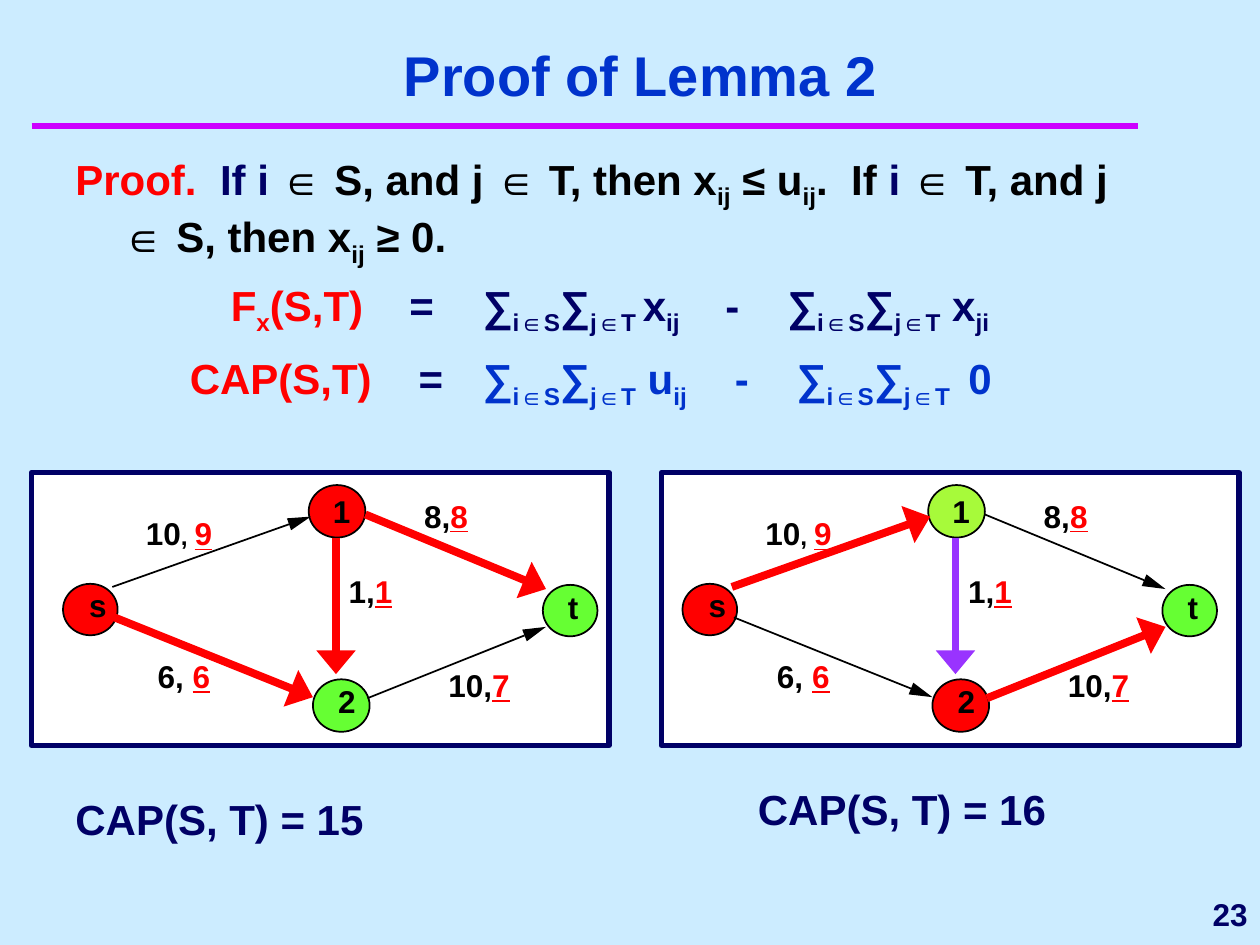
from math import hypot

from lxml.etree import SubElement
from pptx import Presentation
from pptx.dml.color import RGBColor
from pptx.enum.shapes import MSO_CONNECTOR, MSO_SHAPE
from pptx.enum.text import MSO_ANCHOR, PP_ALIGN
from pptx.oxml.ns import qn
from pptx.util import Inches, Pt

SKY = RGBColor(0xCC, 0xEC, 0xFF)
NAVY = RGBColor(0x00, 0x00, 0x66)
BLUE = RGBColor(0x00, 0x33, 0xCC)
RED = RGBColor(0xFF, 0x00, 0x00)
GREEN = RGBColor(0x66, 0xFF, 0x33)
LIME = RGBColor(0xA7, 0xFA, 0x3A)
VIOLET = RGBColor(0x99, 0x33, 0xFF)
MAGENTA = RGBColor(0xCC, 0x00, 0xFF)
BLACK = RGBColor(0x00, 0x00, 0x00)
WHITE = RGBColor(0xFF, 0xFF, 0xFF)

prs = Presentation()
prs.slide_width, prs.slide_height = Inches(10), Inches(7.5)
s = prs.slides.add_slide(prs.slide_layouts[6])
s.background.fill.solid()
s.background.fill.fore_color.rgb = SKY
CELL = prs.slide_width / 120  # the slide is a grid of 120 columns by 90 rows


def add_text(box, runs, size=24, align=PP_ALIGN.LEFT, anchor=MSO_ANCHOR.TOP,
             inset=(1.2, 0.6), wrap=True, hang=0, before=0, tabs=()):
    """Add runs of (text, colour[, size[, underline]]); _x_ is a subscript and | a line break."""
    tf = s.shapes.add_textbox(*(round(v * CELL) for v in box)).text_frame
    tf.word_wrap, tf.vertical_anchor = wrap, anchor
    tf.margin_left = tf.margin_right = round(inset[0] * CELL)
    tf.margin_top = tf.margin_bottom = round(inset[1] * CELL)
    p = tf.paragraphs[0]
    p.alignment, p.space_before = align, Pt(before)
    pPr = p._p.get_or_add_pPr()
    if hang:
        pPr.set("marL", str(round(hang * CELL)))
        pPr.set("indent", str(round(-hang * CELL)))
    if tabs:
        stops = SubElement(pPr, qn("a:tabLst"))
        for t in tabs:
            SubElement(stops, qn("a:tab"), pos=str(round((t - box[0] - inset[0]) * CELL)), algn="l")
    for text, color, *extra in runs:
        for i, part in enumerate(text.split("_")):
            for j, piece in enumerate(part.split("|")):
                if j:
                    p.add_line_break()
                if not piece:
                    continue
                r = p.add_run()
                r.text = piece
                r.font.name, r.font.bold = "Arial", True
                r.font.size = Pt(extra[0] if extra else size)
                r.font.color.rgb = color
                r.font.underline = len(extra) > 1
                if i % 2:
                    r.font._element.set("baseline", "-25000")


def add_line(start, end, color, width, arrow=False):
    ends = [round(v * CELL) for v in (*start, *end)]
    c = s.shapes.add_connector(MSO_CONNECTOR.STRAIGHT, *ends)
    c.line.color.rgb, c.line.width = color, Pt(width)
    if arrow:
        SubElement(c.line._get_or_add_ln(), qn("a:tailEnd"), type="triangle", w="lg")
    SubElement(c._element.spPr, qn("a:effectLst"))


# Heading and slide number
add_line((3, 12), (108.4, 12), MAGENTA, 4)
add_text((97, 84, 23, 6), [("23", NAVY)], size=18, align=PP_ALIGN.RIGHT, anchor=MSO_ANCHOR.MIDDLE)
add_text((5, 3.6, 112, 7), [("Proof of Lemma 2", BLUE)], size=32,
         align=PP_ALIGN.CENTER, anchor=MSO_ANCHOR.MIDDLE)

# Proof
add_text((6, 14, 105, 12), [
    ("Proof. ", RED), (" If i ", NAVY), ("∈ S, and j ∈ T, then x_ij_ ≤ u_ij_.  If ", BLACK),
    ("i ", NAVY), ("∈ T, and j |∈ S, then x_ij_ ≥ 0.", BLACK)], hang=4.5, before=6)
add_text((20.8, 26, 75.4, 6.7), [
    ("F_x_(S,T)", RED),
    ("\t=\t∑_i∈S_∑_j∈T _x_ij_\t-\t∑_i∈S_∑_j∈T_ x_ji_", NAVY)], tabs=(39, 46, 69.1, 75))
add_text((16.9, 33, 79.4, 6.7), [
    ("CAP(S,T)", RED), ("\t=\t", NAVY),
    ("∑_i∈S_∑_j∈T_ u_ij_\t-\t∑_i∈S_∑_j∈T _ 0", BLUE)], tabs=(39.9, 46, 70, 75.9))

# Two cuts of the same network
# node: left, top, width, height, letter left, letter top
nodes = {"s": (6, 55.6, 5.2, 4.9, 8.5, 55.8), "1": (29.4, 46.2, 5.4, 5, 31.7, 46.9),
         "2": (29.8, 64.7, 5.4, 5, 32.2, 65), "t": (51.7, 55.7, 5.2, 4.9, 54.1, 56)}
edges = {"s1": ((10.7, 55.9), (29.6, 49.2)), "s2": ((10.9, 58.8), (29.8, 66.4)),
         "1t": ((34.8, 49), (52, 56.1)), "2t": ((35, 66.5), (52, 59.7)),
         "12": ((32, 51.2), (32, 64.2))}
# label: left, top, capacity, separator, separator size, flow
labels = [(13.9, 49, "10", ", ", 14, "9"), (40.4, 47.3, "8", ",", 18, "8"),
          (33.2, 54.5, "1", ",", 18, "1"), (42.7, 63.4, "10", ",", 18, "7"),
          (15, 62.6, "6", ", ", 18, "6")]
# cut: panel left, network shift, node fills, thick edges
cuts = [(3, 0, (RED, RED, GREEN, GREEN), {"s2": RED, "1t": RED, "12": RED}),
        (63, 59, (RED, LIME, RED, GREEN), {"s1": RED, "2t": RED, "12": VIOLET})]
HEAD, HALF = 2.2, 0.6  # length and half width of a thin edge's arrowhead

for panel, dx, fills, thick in cuts:
    shapes = [(MSO_SHAPE.RECTANGLE, (panel, 45, 55, 26), WHITE, NAVY, 3)]
    shapes += [(MSO_SHAPE.OVAL, (n[0] + dx, *n[1:4]), fill, BLACK, 1)
               for n, fill in zip(nodes.values(), fills)]
    for kind, box, fill, outline, width in shapes:
        sp = s.shapes.add_shape(kind, *(round(v * CELL) for v in box))
        sp.shadow.inherit = False
        sp.fill.solid()
        sp.fill.fore_color.rgb = fill
        sp.line.color.rgb, sp.line.width = outline, Pt(width)
    for name, (*_, x, y) in nodes.items():
        add_text((x + dx, y, 1.7, 3.6), [(name, BLACK)], size=18, inset=(0, 0), wrap=False)

    for name, ((x1, y1), (x2, y2)) in edges.items():
        x1, x2 = x1 + dx, x2 + dx
        if name in thick:
            add_line((x1, y1), (x2, y2), thick[name], 4.5, arrow=True)
            continue
        length = hypot(x2 - x1, y2 - y1)
        ux, uy = (x2 - x1) / length, (y2 - y1) / length
        bx, by = x2 - HEAD * ux, y2 - HEAD * uy
        add_line((x1, y1), (bx, by), BLACK, 1)
        builder = s.shapes.build_freeform(round(x2 * CELL), round(y2 * CELL))
        builder.add_line_segments([(round((bx + k * uy) * CELL), round((by - k * ux) * CELL))
                                   for k in (HALF, -HALF)])
        head = builder.convert_to_shape()
        head.shadow.inherit = False
        head.fill.solid()
        head.fill.fore_color.rgb = BLACK
        head.line.fill.background()

    for x, y, capacity, gap, gap_size, flow in labels:
        add_text((x + dx, y, 8, 3.6), [(capacity, BLACK), (gap, BLACK, gap_size), (flow, RED, 18, True)],
                 size=18, inset=(0, 0))

for x, y, value in ((6, 75, 15), (71, 74, 16)):
    add_text((x, y, 38, 6), [(f"CAP(S, T) = {value}", NAVY)])

prs.save("out.pptx")
